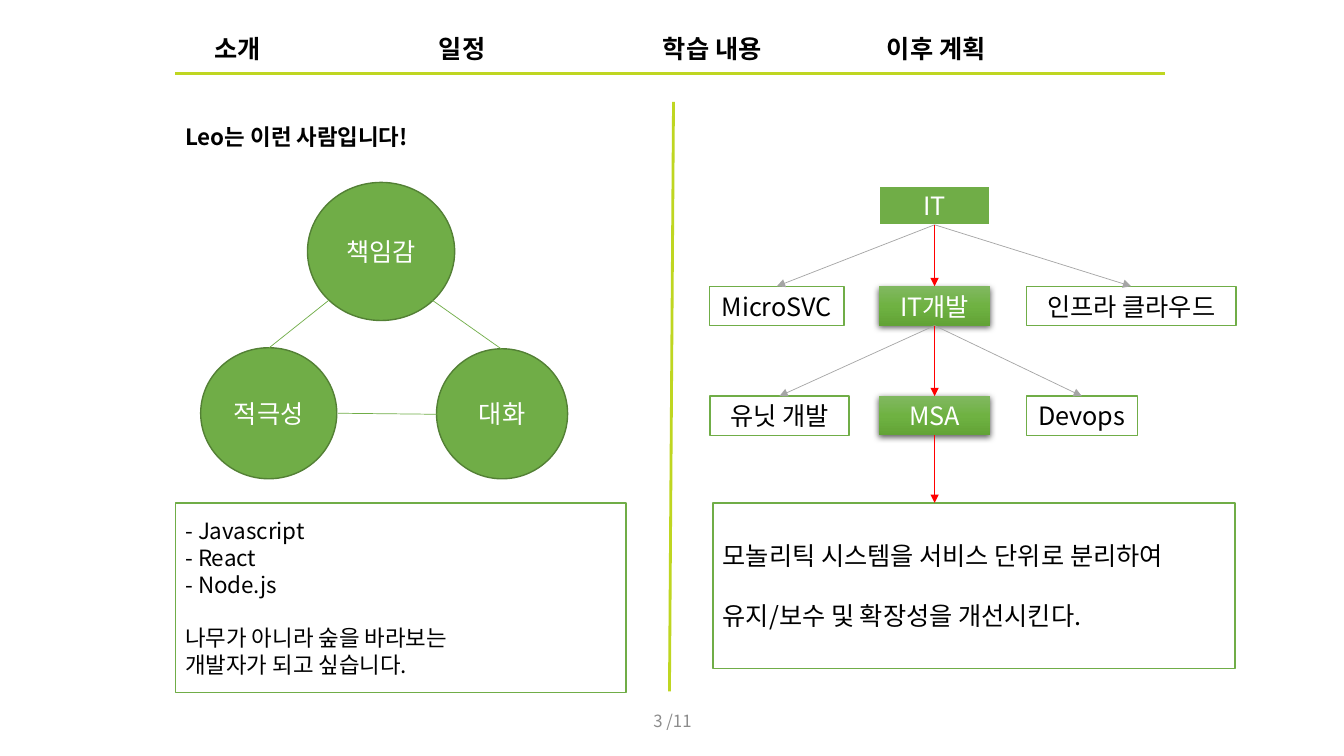
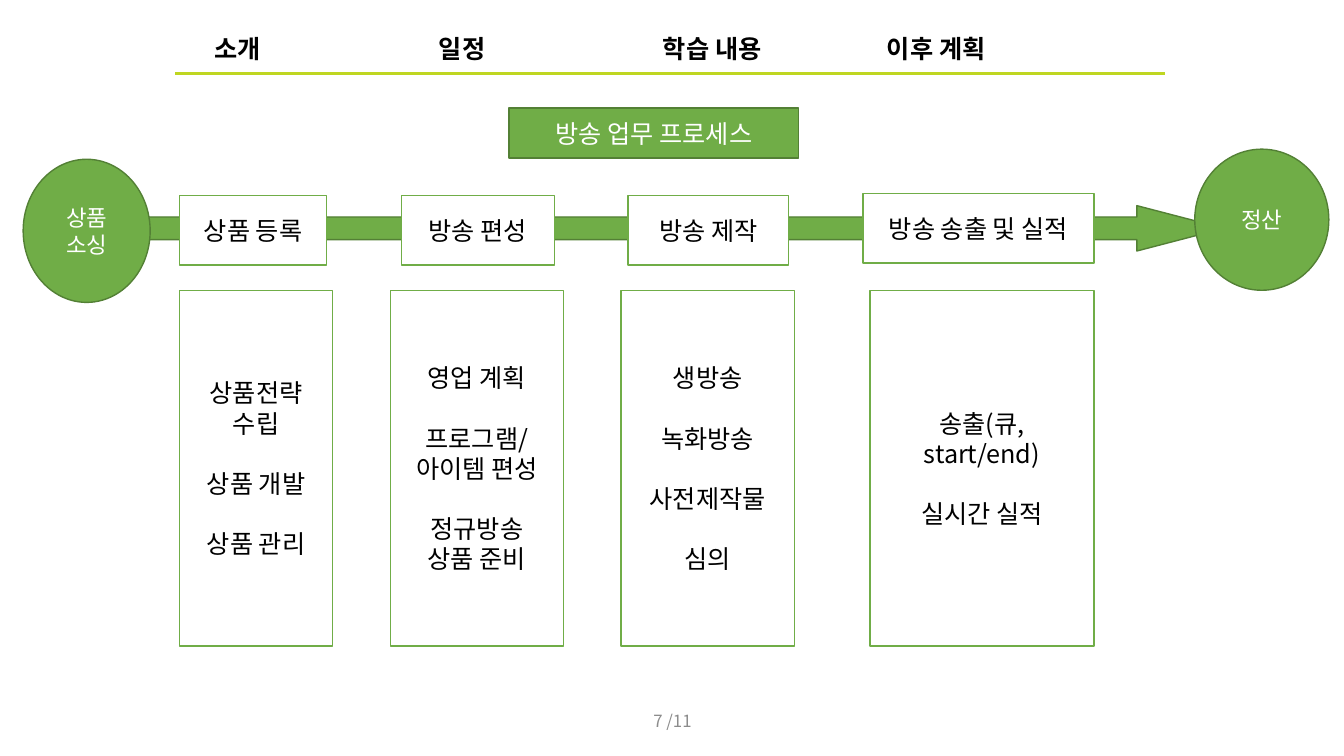
import copy

import pptx
import pptx.chart.data
import pptx.dml.color
import pptx.enum.shapes
import pptx.enum.text
import pptx.oxml
import pptx.oxml.ns
import pptx.util

Inches, Pt = pptx.util.Inches, pptx.util.Pt
qn = pptx.oxml.ns.qn
SHAPE = pptx.enum.shapes.MSO_SHAPE
ALIGN = pptx.enum.text.PP_ALIGN

FONT = "Noto Sans CJK KR"
COLORS = {
    "white": "FFFFFF", "black": "000000", "lime": "BFD621",
    "green": "70AD47", "dark": "538035", "gray": "A5A5A5",
    "page": "8C8C8C", "red": "FF0000",
    "light": "81B861", "mid": "6FB242", "deep": "62A336",
}
MENU = ("소개", "일정", "학습 내용", "이후 계획")
TOTAL = 11
LINE = 1.19  # line height as a share of the font size
SHADOW = (
    '<a:outerShdw xmlns:a="http://schemas.openxmlformats.org/drawingml/2006/main"'
    ' blurRad="57150" dist="19050" dir="5400000" algn="ctr" rotWithShape="0">'
    '<a:srgbClr val="000000"><a:alpha val="63000"/></a:srgbClr></a:outerShdw>'
)


def rgb(name):
    return pptx.dml.color.RGBColor.from_string(COLORS[name])


def write(frame, text, size, color="black", align=ALIGN.CENTER, bold=False):
    """Put each line in a paragraph; an empty line becomes space before the next."""
    frame.word_wrap = True
    gap, first = False, True
    for line in text.split("\n"):
        if not line:
            gap = True
            continue
        para = frame.paragraphs[0] if first else frame.add_paragraph()
        para.text = line
        para.alignment = align
        if gap:
            para.space_before = Pt(round(size * LINE, 1))
        font = para.font
        font.size, font.bold, font.name = Pt(size), bold, FONT
        font.color.rgb = rgb(color)
        props = para._p.pPr.find(qn("a:defRPr"))
        props.append(props.makeelement(qn("a:ea"), {"typeface": FONT}))
        gap = first = False


def shape(slide, kind, at, fill, edge=None, width=1):
    item = slide.shapes.add_shape(kind, *map(Inches, at))
    item.shadow.inherit = False
    item.fill.solid()
    item.fill.fore_color.rgb = rgb(fill)
    if edge:
        item.line.color.rgb = rgb(edge)
        item.line.width = Pt(width)
    else:
        item.line.fill.background()
    return item


def box(slide, at, text, size=18, align=ALIGN.CENTER):
    item = shape(slide, SHAPE.RECTANGLE, at, "white", "green")
    write(item.text_frame, text, size, align=align)
    return item


def solid(slide, at, text, kind=SHAPE.RECTANGLE, size=18, edge="dark", width=1):
    item = shape(slide, kind, at, "green", edge, width)
    write(item.text_frame, text, size, "white")
    return item


def raised(slide, at, text):
    """Green box with a gradient and a soft shadow."""
    item = solid(slide, at, text, edge=None)
    item.fill.gradient()
    item.fill.gradient_angle = 270
    props = item._element.spPr
    stops = props.find(".//" + qn("a:gsLst"))
    stops.insert(1, copy.deepcopy(stops[0]))
    tones = zip(item.fill.gradient_stops, (0, 0.5, 1), ("light", "mid", "deep"))
    for stop, place, tone in tones:
        stop.position = place
        stop.color.rgb = rgb(tone)
    props.find(qn("a:effectLst")).append(pptx.oxml.parse_xml(SHADOW))
    return item


def rule(slide, start, end, color, width=0.5, arrow=False):
    item = slide.shapes.add_connector(
        pptx.enum.shapes.MSO_CONNECTOR.STRAIGHT, *map(Inches, start + end))
    item.line.color.rgb = rgb(color)
    item.line.width = Pt(width)
    if arrow:
        edge = item.line._get_or_add_ln()
        edge.append(edge.makeelement(qn("a:tailEnd"), {"type": "triangle"}))
    props = item._element.spPr
    props.append(props.makeelement(qn("a:effectLst"), {}))
    return item


def branch(slide, top, low, color):
    """Arrow from the bottom of one box to the top of another."""
    item = rule(slide, (0, 0), (0, 0), color, arrow=True)
    item.begin_connect(top, 2)
    item.end_connect(low, 0)


def page(deck, number):
    """New slide with the menu, its rule and the page number."""
    slide = deck.slides.add_slide(deck.slide_layouts[6])
    rule(slide, (1.74, 0.73), (11.55, 0.73), "lime", 2)
    table = slide.shapes.add_table(
        1, len(MENU), *map(Inches, (2.03, 0.24, 8.89, 0.41))).table
    table.first_row = table.horz_banding = False
    for cell, text in zip(table.iter_cells(), MENU):
        cell.fill.solid()
        cell.fill.fore_color.rgb = rgb("white")
        write(cell.text_frame, text, 18, align=ALIGN.LEFT, bold=True)
    foot = slide.shapes.add_textbox(*map(Inches, (6.27, 6.95, 0.8, 0.4)))
    foot.text_frame.vertical_anchor = pptx.enum.text.MSO_ANCHOR.MIDDLE
    write(foot.text_frame, f"{number} /{TOTAL}", 12, "page")
    return slide


def traits(slide):
    head = shape(slide, SHAPE.RECTANGLE, (1.74, 1.13, 2.96, 0.45), "white")
    write(head.text_frame, "Leo는 이런 사람입니다!", 16, align=ALIGN.LEFT, bold=True)
    for at, text in (
        ((3.05, 1.81, 1.46, 1.37), "책임감"),
        ((1.99, 3.45, 1.35, 1.3), "적극성"),
        ((4.33, 3.46, 1.3, 1.29), "대화"),
    ):
        solid(slide, at, text, SHAPE.OVAL)
    for start, end in (
        ((3.26, 2.98), (2.67, 3.45)),
        ((4.29, 2.98), (4.97, 3.46)),
        ((3.35, 4.1), (4.33, 4.11)),
    ):
        rule(slide, start, end, "green")
    box(slide, (1.74, 4.99, 4.47, 1.88),
        "- Javascript\n- React\n- Node.js\n\n"
        "나무가 아니라 숲을 바라보는\n개발자가 되고 싶습니다.", 16, ALIGN.LEFT)


def tree(slide):
    left, mid, right = 7.04, 8.72, 10.18
    wide, high = 1.1, 0.39
    top = solid(slide, (mid, 1.84, wide, high), "IT", edge="white", width=1.5)
    for y, (one, one_w), main_text, (two, two_w) in (
        (2.84, ("MicroSVC", 1.33), "IT개발", ("인프라 클라우드", 2.08)),
        (3.93, ("유닛 개발", 1.38), "MSA", ("Devops", wide)),
    ):
        sides = (box(slide, (left, y, one_w, high), one),
                 box(slide, (right, y, two_w, high), two))
        core = raised(slide, (mid, y, wide, high), main_text)
        for side in sides:
            branch(slide, top, side, "gray")
        branch(slide, top, core, "red")
        top = core
    box(slide, (7.07, 4.99, 5.18, 1.64),
        "모놀리틱 시스템을 서비스 단위로 분리하여\n\n"
        "유지/보수 및 확장성을 개선시킨다.", align=ALIGN.LEFT)
    drop = rule(slide, (9.27, 4.32), (9.27, 4.99), "red", arrow=True)
    drop.begin_connect(top, 2)


def flow(slide):
    arrow = shape(slide, SHAPE.RIGHT_ARROW, (0.9, 2.04, 11.24, 0.45), "green", "dark")
    arrow.adjustments[1] = 1.92
    for x, y, wide, text in (
        (1.78, 1.94, 1.46, "상품 등록"),
        (3.98, 1.94, 1.52, "방송 편성"),
        (6.23, 1.94, 1.59, "방송 제작"),
        (8.56, 1.92, 2.29, "방송 송출 및 실적"),
    ):
        box(slide, (x, y, wide, 0.69), text)
    for x, wide, text in (
        (1.78, 1.52, "상품전략 수립\n\n상품 개발\n\n상품 관리"),
        (3.87, 1.72, "영업 계획\n\n프로그램/\n아이템 편성\n\n정규방송\n상품 준비"),
        (6.16, 1.72, "생방송\n\n녹화방송\n\n사전제작물\n\n심의"),
        (8.63, 2.22, "송출(큐, start/end)\n\n실시간 실적"),
    ):
        box(slide, (x, 2.88, wide, 3.53), text)
    solid(slide, (0.23, 1.58, 1.26, 1.42), "상품 소싱", SHAPE.OVAL, 16)
    solid(slide, (11.85, 1.48, 1.33, 1.4), "정산", SHAPE.OVAL, 16)
    solid(slide, (5.05, 1.07, 2.87, 0.5), "방송 업무 프로세스")


def main():
    deck = pptx.Presentation()
    deck.slide_width, deck.slide_height = Inches(13.33), Inches(7.5)
    intro = page(deck, 3)
    rule(intro, (6.64, 6.86), (6.68, 1.01), "lime", 2)
    traits(intro)
    tree(intro)
    flow(page(deck, 7))
    deck.save("out.pptx")


if __name__ == "__main__":
    main()
